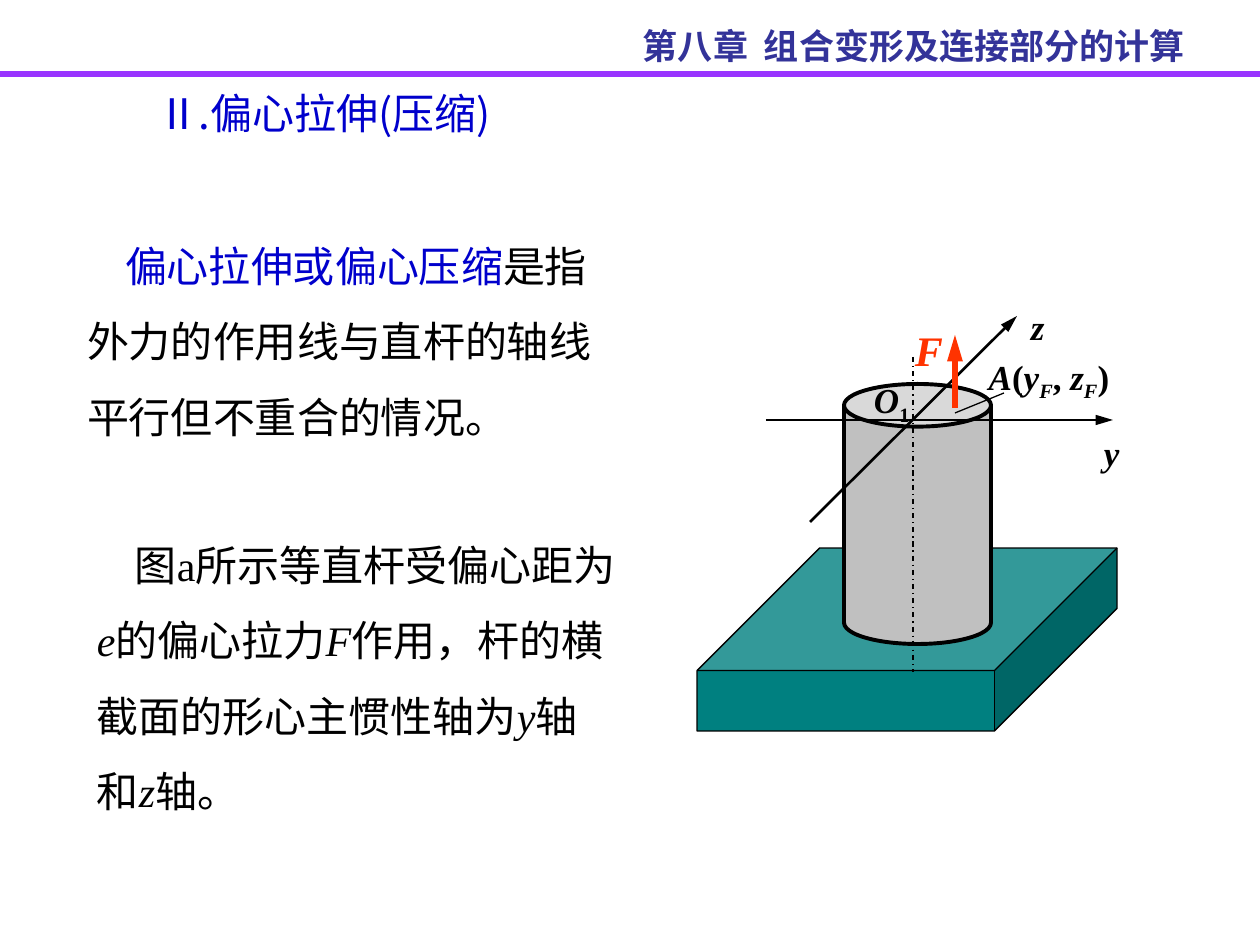
from dataclasses import dataclass

import lxml.etree
import pptx
import pptx.dml.color
import pptx.enum.dml
import pptx.enum.shapes
import pptx.enum.text
import pptx.oxml.ns
import pptx.util

PX = 914400 / 126
CJK, LATIN = "Noto Sans CJK SC", "Times New Roman"
BLACK, BLUE, RED = "000000", "0000CC", "FF3300"
ALIGN = pptx.enum.text.PP_ALIGN


@dataclass(frozen=True)
class Box:
    left: int
    top: int
    width: int
    height: int


@dataclass(frozen=True)
class Run:
    text: str
    font: str = LATIN
    color: str = BLACK
    italic: bool = False
    subscript: bool = False


@dataclass(frozen=True)
class Line:
    start: tuple[int, int]
    end: tuple[int, int]
    width: float
    color: str = BLACK
    arrow: bool = False
    dash_dot: bool = False


def emu(px: int) -> int:
    return round(px * PX)


def place(box: Box) -> tuple[int, ...]:
    return tuple(emu(v) for v in (box.left, box.top, box.width, box.height))


def rgb(color: str) -> pptx.dml.color.RGBColor:
    return pptx.dml.color.RGBColor.from_string(color)


def symbol(text: str, color: str = BLACK) -> Run:
    return Run(text, color=color, italic=True)


def chinese(text: str, color: str = BLACK) -> Run:
    return Run(text, CJK, color)


def write(shape, runs: list[Run], *, size: int, bold: bool = False,
          pitch: float | None = None, indent: int = 0, align=ALIGN.LEFT) -> None:
    """Fill a shape with one paragraph; pitch is the line distance in points."""
    frame = shape.text_frame
    frame.word_wrap = True
    frame.auto_size = pptx.enum.text.MSO_AUTO_SIZE.NONE
    frame.vertical_anchor = pptx.enum.text.MSO_ANCHOR.TOP
    frame.margin_left = frame.margin_right = emu(13)
    frame.margin_top, frame.margin_bottom = emu(11), 0
    paragraph = frame.paragraphs[0]
    paragraph.alignment = align
    paragraph.space_before = pptx.util.Pt(0)
    if pitch:
        paragraph.line_spacing = pptx.util.Pt(pitch)
    if indent:
        paragraph._p.get_or_add_pPr().set("indent", str(emu(indent)))
    for part in runs:
        run = paragraph.add_run()
        run.text = part.text
        font = run.font
        font.name, font.size = part.font, pptx.util.Pt(size)
        font.bold, font.italic = bold, part.italic
        font.color.rgb = rgb(part.color)
        properties = font._element
        if part.subscript:
            properties.set("baseline", "-25000")
        east_asian = lxml.etree.SubElement(properties, pptx.oxml.ns.qn("a:ea"))
        east_asian.set("typeface", CJK)


def add_text(slide, box: Box, runs: list[Run], **style) -> None:
    write(slide.shapes.add_textbox(*place(box)), runs, **style)


def add_line(slide, line: Line) -> None:
    ends = (emu(v) for v in line.start + line.end)
    connector = slide.shapes.add_connector(
        pptx.enum.shapes.MSO_CONNECTOR.STRAIGHT, *ends)
    connector.line.width = pptx.util.Pt(line.width)
    connector.line.color.rgb = rgb(line.color)
    if line.dash_dot:
        connector.line.dash_style = pptx.enum.dml.MSO_LINE.DASH_DOT
    if line.arrow:
        head = lxml.etree.SubElement(
            connector.line._get_or_add_ln(), pptx.oxml.ns.qn("a:tailEnd"))
        for key, value in (("type", "triangle"), ("w", "med"), ("len", "lg")):
            head.set(key, value)
    lxml.etree.SubElement(
        connector._element.spPr, pptx.oxml.ns.qn("a:effectLst"))


def add_solid(slide, kind, box: Box, depth: float, fill: str, outline: float) -> None:
    solid = slide.shapes.add_shape(kind, *place(box))
    solid.adjustments[0] = depth
    solid.shadow.inherit = False
    solid.fill.solid()
    solid.fill.fore_color.rgb = rgb(fill)
    solid.line.color.rgb = rgb(BLACK)
    solid.line.width = pptx.util.Pt(outline)


def draw_loaded_bar(slide) -> None:
    kinds = pptx.enum.shapes.MSO_SHAPE
    add_solid(slide, kinds.CUBE, Box(697, 548, 420, 183), 0.67, "008080", 0.75)
    add_solid(slide, kinds.CAN, Box(844, 384, 147, 260), 0.29, "C0C0C0", 2.25)

    z_axis = Line((810, 522), (1017, 316), 1.5, arrow=True)
    bar_axis = Line((913, 357), (913, 672), 0.75, dash_dot=True)
    y_axis = Line((766, 420), (1113, 420), 1.5, arrow=True)
    force = Line((955, 408), (955, 335), 3, RED, arrow=True)
    point_leader = Line((955, 413), (1004, 393), 0.75)
    for line in (z_axis, bar_axis, y_axis, force, point_leader):
        add_line(slide, line)

    force_index = Run("F", italic=True, subscript=True)
    add_text(slide, Box(861, 368, 73, 60),
             [symbol("O"), Run("1", subscript=True)], size=20, bold=True)
    add_text(slide, Box(1091, 420, 84, 55), [symbol("y")], size=20, bold=True)
    add_text(slide, Box(1018, 294, 63, 55), [symbol("z")], size=20, bold=True)
    add_text(slide, Box(902, 314, 73, 63), [symbol("F", RED)], size=24, bold=True)
    add_text(slide, Box(935, 344, 228, 60),
             [symbol("A"), Run("("), symbol("y"), force_index, Run(", "),
              symbol("z"), force_index, Run(")")],
             size=20, bold=True, align=ALIGN.CENTER)


def main() -> None:
    deck = pptx.Presentation()
    deck.slide_width, deck.slide_height = emu(1260), emu(945)
    slide = deck.slides.add_slide(deck.slide_layouts[5])

    title = slide.shapes.title
    title.left, title.top, title.width, title.height = place(Box(144, 76, 437, 63))
    write(title, [chinese("Ⅱ.偏心拉伸(压缩)", BLUE)], size=24, pitch=28.8)

    add_line(slide, Line((0, 74), (1260, 74), 3, "9933FF"))
    add_text(slide, Box(630, 13, 616, 55),
             [Run("第八章  组合变形及连接部分的计算", color="333399")],
             size=20, bold=True, pitch=24)

    definition = [chinese("偏心拉伸或偏心压缩", BLUE),
                  chinese("是指外力的作用线与直杆的轴线平行但不重合的情况。")]
    example = [chinese("图"), Run("a"), chinese("所示等直杆受偏心距为"),
               symbol("e"), chinese("的偏心拉力"), symbol("F"),
               chinese("作用，杆的横截面的形心主惯性轴为"), symbol("y"),
               chinese("轴和"), symbol("z"), chinese("轴。")]
    for box, runs in ((Box(74, 204, 536, 239), definition),
                      (Box(84, 503, 546, 315), example)):
        add_text(slide, box, runs, size=24, pitch=43.2, indent=38)

    draw_loaded_bar(slide)
    deck.save("out.pptx")


if __name__ == "__main__":
    main()
